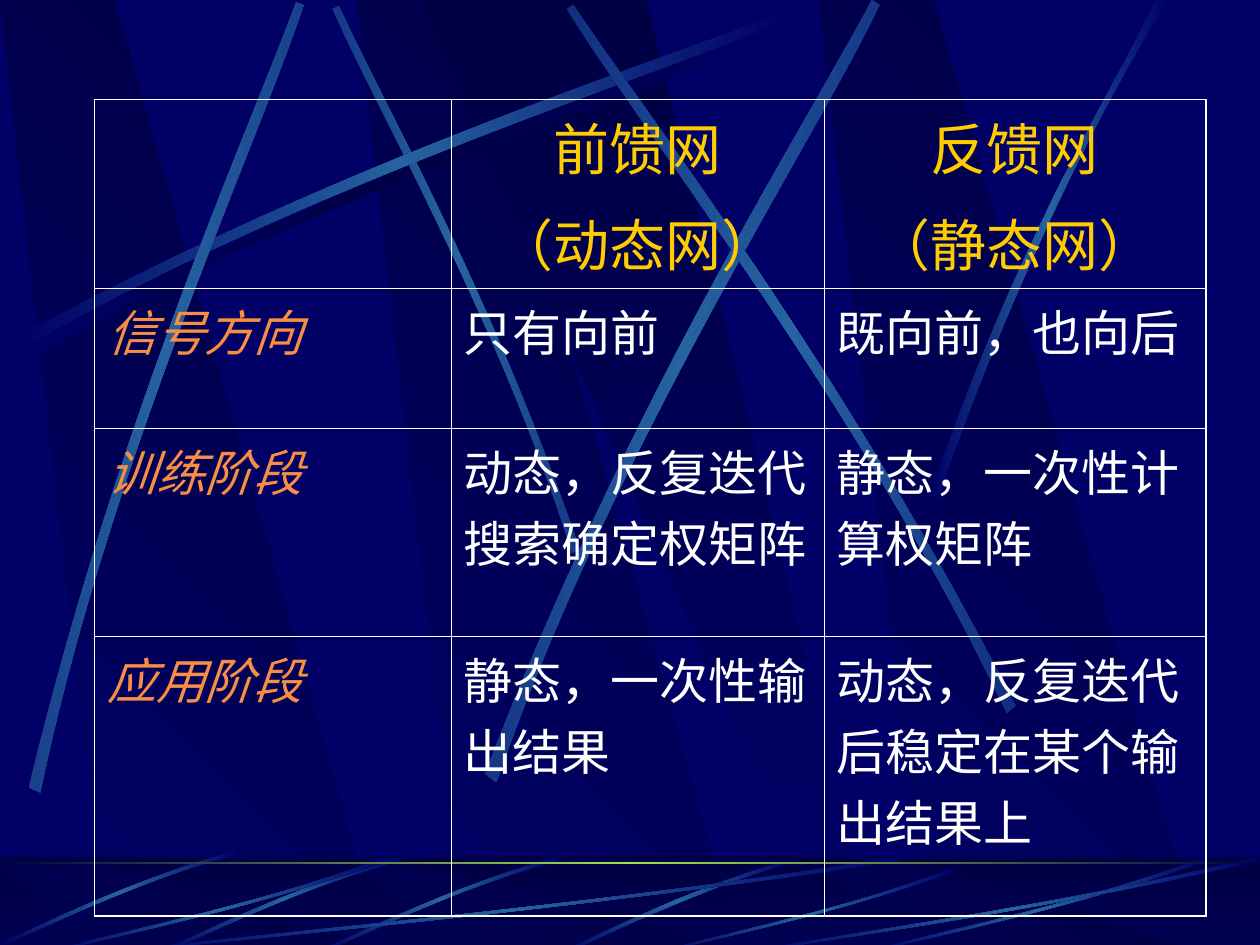
from math import cos, radians, sin

from lxml.etree import SubElement
from pptx import Presentation
from pptx.dml.color import RGBColor
from pptx.enum.shapes import MSO_SHAPE
from pptx.enum.text import PP_ALIGN
from pptx.oxml import parse_xml
from pptx.oxml.ns import nsdecls, qn
from pptx.util import Inches, Pt

COLUMNS, ROWS = 10, 7.5
NAVY, DARK, BEAM, GLOW = "000066", "000044", "2663A0", "9CE157"
WHITE, GOLD, ORANGE = "FFFFFF", "FFCC00", "F98D43"

BANDS = [
    ((2.83, 3.69, 5.85, 3.74), 135),
    ((0, 0.86, 3.02, 0.91), 135),
    ((6.5, 7.36, 9.52, 7.41), 135),
    ((3.33, 6.58, 6.94, 5.13), 90),
]
ARC = [(0.14, 2.67), (2.78, 1.25), (5.18, 0.51), (6.2, 0.1),
       (6.23, 0.16), (5.22, 0.61), (2.48, 1.43), (0.17, 2.77)]
TALL_BEAMS = [
    ([(0.23, 6.25), (0.93, 3.34), (1.97, 1.05), (2.35, 0.02),
      (2.41, 0.04), (2.07, 1.08), (0.86, 3.68), (0.32, 6.29)], 311.7),
    ([(3.85, 6.14), (4.98, 3.2), (6.38, 1.02), (6.92, 0),
      (6.98, 0.04), (6.49, 1.08), (4.86, 3.55), (3.94, 6.21)], 321.6),
    ([(8.06, 5.6), (6.7, 2.93), (5.16, 0.95), (4.55, 0.04),
      (4.5, 0.07), (5.07, 1.01), (6.85, 3.25), (7.99, 5.66)], 34.8),
    ([(7.38, 3.93), (8.14, 1.73), (8.88, 0.66), (9.17, 0),
      (9.27, 0), (8.36, 1.45), (7.69, 3.22), (7.44, 3.97)], 0),
]
SHORT_BEAM = [(4.6, 4.36), (3.91, 2.34), (3.02, 0.77), (2.69, 0.05),
              (2.64, 0.07), (2.95, 0.79), (3.98, 2.58), (4.54, 4.39)]
FLOOR_ARC = [(6.27, 6.82), (5.37, 7.09), (4.77, 7.42), (4.48, 7.54),
             (4.53, 7.55), (4.9, 7.37), (5.71, 7), (6.28, 6.85)]
GLINT = [(4.42, 6.8), (3.55, 7.05), (2.87, 7.4), (2.56, 7.53),
         (2.57, 7.55), (2.88, 7.43), (3.65, 7.03), (4.44, 6.83)]
SWEEP = [(1, 0.04), (0.57, 0.57), (0.17, 0.85), (0.01, 1),
         (0, 0.99), (0.17, 0.81), (0.62, 0.51), (0.99, 0)]
SWEEP_BOXES = [(1, 6.8, 6.17, 0.75), (0.42, 6.8, 2.67, 0.75),
               (5.27, 6.89, 2.31, 0.66), (6.92, 6.8, 2.67, 0.75), (6, 6.8, 4, 0.75)]

TABLE_ROWS = [
    [[], ["前馈网", "（动态网）"], ["反馈网", "（静态网）"]],
    [["信号方向"], ["只有向前"], ["既向前，也向后"]],
    [["训练阶段"], ["动态，反复迭代搜索确定权矩阵"], ["静态，一次性计算权矩阵"]],
    [["应用阶段"], ["静态，一次性输出结果"], ["动态，反复迭代后稳定在某个输出结果上"]],
]


def colour(code):
    """Turn a hex string into a colour."""
    return RGBColor.from_string(code)


def paint_gradient(shape, codes, angle):
    """Fill a shape with evenly spaced colours and remove its outline and shadow."""
    stops = "".join(
        f'<a:gs pos="{100000 * index // (len(codes) - 1)}"><a:srgbClr val="{code}"/></a:gs>'
        for index, code in enumerate(codes))
    shape.fill.gradient()
    properties = shape._element.spPr
    properties.replace(properties.find(qn("a:gradFill")), parse_xml(
        f'<a:gradFill {nsdecls("a")} rotWithShape="0"><a:gsLst>{stops}</a:gsLst>'
        f'<a:lin ang="{angle * 60000}" scaled="0"/></a:gradFill>'))
    shape.line.fill.background()
    shape.shadow.inherit = False


def add_outline(group, points):
    """Draw a closed outline through points given in grid units."""
    start, *others = [(Inches(x), Inches(y)) for x, y in points]
    builder = group.shapes.build_freeform(*start)
    builder.add_line_segments(others, close=True)
    return builder.convert_to_shape()


def add_rectangle(group, box):
    """Add a rectangle in a box given in grid units."""
    return group.shapes.add_shape(MSO_SHAPE.RECTANGLE, *map(Inches, box))


def moved(points, right, down):
    """Shift points by a distance."""
    return [(x + right, y + down) for x, y in points]


def turned(points, angle):
    """Turn points clockwise about the corner of the page."""
    cosine, sine = cos(radians(angle)), sin(radians(angle))
    return [(x * cosine - y * sine, x * sine + y * cosine) for x, y in points]


def upright(points, angle):
    """Find the points which give the wanted ones when turned about their own centre."""
    level = turned(points, -angle)
    centre = [(min(values) + max(values)) / 2 for values in zip(*level)]
    (x, y), = turned([centre], angle)
    return moved(level, x - centre[0], y - centre[1])


def bend(shape):
    """Turn the first three and last three line segments into cubic curves."""
    segments = list(shape._element.iter(qn("a:lnTo")))
    for trio in (segments[:3], segments[4:]):
        cubic = parse_xml(f'<a:cubicBezTo {nsdecls("a")}/>')
        trio[0].addprevious(cubic)
        for segment in trio:
            cubic.append(segment[0])
            segment.getparent().remove(segment)


def add_beam(group, points, angle=0, middle=BEAM):
    """Draw a curved beam which fades at both ends."""
    shape = add_outline(group, upright(points, angle))
    bend(shape)
    paint_gradient(shape, (NAVY, middle, NAVY), 180)
    shape.rotation = angle


def add_bands(group, top, bottom):
    """Draw the slanted dark bands between two heights."""
    for (left, bottom_left, bottom_right, right), angle in BANDS:
        shape = add_outline(group, [(left, top), (bottom_left, bottom),
                                    (bottom_right, bottom), (right, top)])
        paint_gradient(shape, (DARK, NAVY), angle)


def add_sky(group):
    """Draw the bands and beams that cover the page."""
    add_bands(group, 0, ROWS)
    add_beam(group, moved(ARC, 0.06, 0.08), middle=DARK)
    add_beam(group, SHORT_BEAM, 45)
    add_beam(group, ARC)
    for points, angle in TALL_BEAMS:
        add_beam(group, points, angle)


def add_floor(group, box):
    """Draw the floor strip, its beams and the glowing horizon."""
    left, top, width, height = box
    paint_gradient(add_rectangle(group, box), (DARK, NAVY), 90)
    add_bands(group, top + 0.08, top + height)
    veil = add_rectangle(group, box)
    veil.fill.solid()
    veil.fill.fore_color.rgb = colour(DARK)
    SubElement(veil._element.spPr.find(".//" + qn("a:srgbClr")), qn("a:alpha"), val="50000")
    veil.line.fill.background()
    veil.shadow.inherit = False
    add_beam(group, FLOOR_ARC)
    for right, down in ((0, 0), (-1.25, 0), (-2.55, -0.05)):
        add_beam(group, moved(GLINT, right, down), 314.9)
    for x, y, across, down in SWEEP_BOXES:
        add_beam(group, [(x + across * u, y + down * v) for u, v in SWEEP])
    horizon = add_rectangle(group, (left, top + 0.04, width, 0.02))
    paint_gradient(horizon, (DARK, GLOW, DARK), 180)


def send_to_master(deck, group):
    """Move a group behind everything on the slide master."""
    for number, properties in enumerate(group._element.iter(qn("p:cNvPr")), 100):
        properties.set("id", str(number))
    deck.slide_master.shapes._spTree.insert(2, group._element)


def format_cell(cell, widths):
    """Give a cell white borders and no fill."""
    properties = cell._tc.get_or_add_tcPr()
    for side, width in zip("LRTB", widths):
        properties.append(parse_xml(
            f'<a:ln{side} {nsdecls("a")} w="{Pt(width)}"><a:solidFill>'
            f'<a:srgbClr val="{WHITE}"/></a:solidFill></a:ln{side}>'))
    cell.fill.background()


def write_cell(cell, lines, size, code, italic, alignment):
    """Write the lines of a cell as paragraphs."""
    for index, line in enumerate(lines):
        para = cell.text_frame.add_paragraph() if index else cell.text_frame.paragraphs[0]
        para.alignment = alignment
        if index:
            para.space_before = Pt(8)
        span = para.add_run()
        span.text = line
        span.font.name = "Arial"
        span.font.size = Pt(size)
        span.font.italic = italic
        span.font.color.rgb = colour(code)


def add_comparison(page, left, top, widths, heights):
    """Add the table comparing the two kinds of network."""
    box = map(Inches, (left, top, sum(widths), sum(heights)))
    table = page.shapes.add_table(len(heights), len(widths), *box).table
    table.first_row = table.horz_banding = False
    for column, width in zip(table.columns, widths):
        column.width = Inches(width)
    last_row, last_column = len(heights) - 1, len(widths) - 1
    for r, height in enumerate(heights):
        table.rows[r].height = Inches(height)
        for c, lines in enumerate(TABLE_ROWS[r]):
            cell = table.cell(r, c)
            outer = (c == 0, c == last_column, r == 0, r == last_row)
            format_cell(cell, [1.08 if edge else 0.45 for edge in outer])
            if r == 0:
                write_cell(cell, lines, 32, GOLD, False, PP_ALIGN.CENTER)
            else:
                write_cell(cell, lines, 28, WHITE if c else ORANGE, c == 0, PP_ALIGN.LEFT)


def main():
    """Build the deck."""
    deck = Presentation()
    deck.slide_width, deck.slide_height = Inches(COLUMNS), Inches(ROWS)
    page = deck.slides.add_slide(deck.slide_layouts[6])
    page.background.fill.solid()
    page.background.fill.fore_color.rgb = colour(NAVY)
    scenery = page.shapes.add_group_shape()
    add_sky(scenery)
    add_floor(scenery, (0, 6.8, COLUMNS, 0.75))
    send_to_master(deck, scenery)
    add_comparison(page, 0.75, 0.79, (2.83, 2.96, 3.03), (1.5, 1.11, 1.65, 2.22))
    deck.save("out.pptx")


if __name__ == "__main__":
    main()
